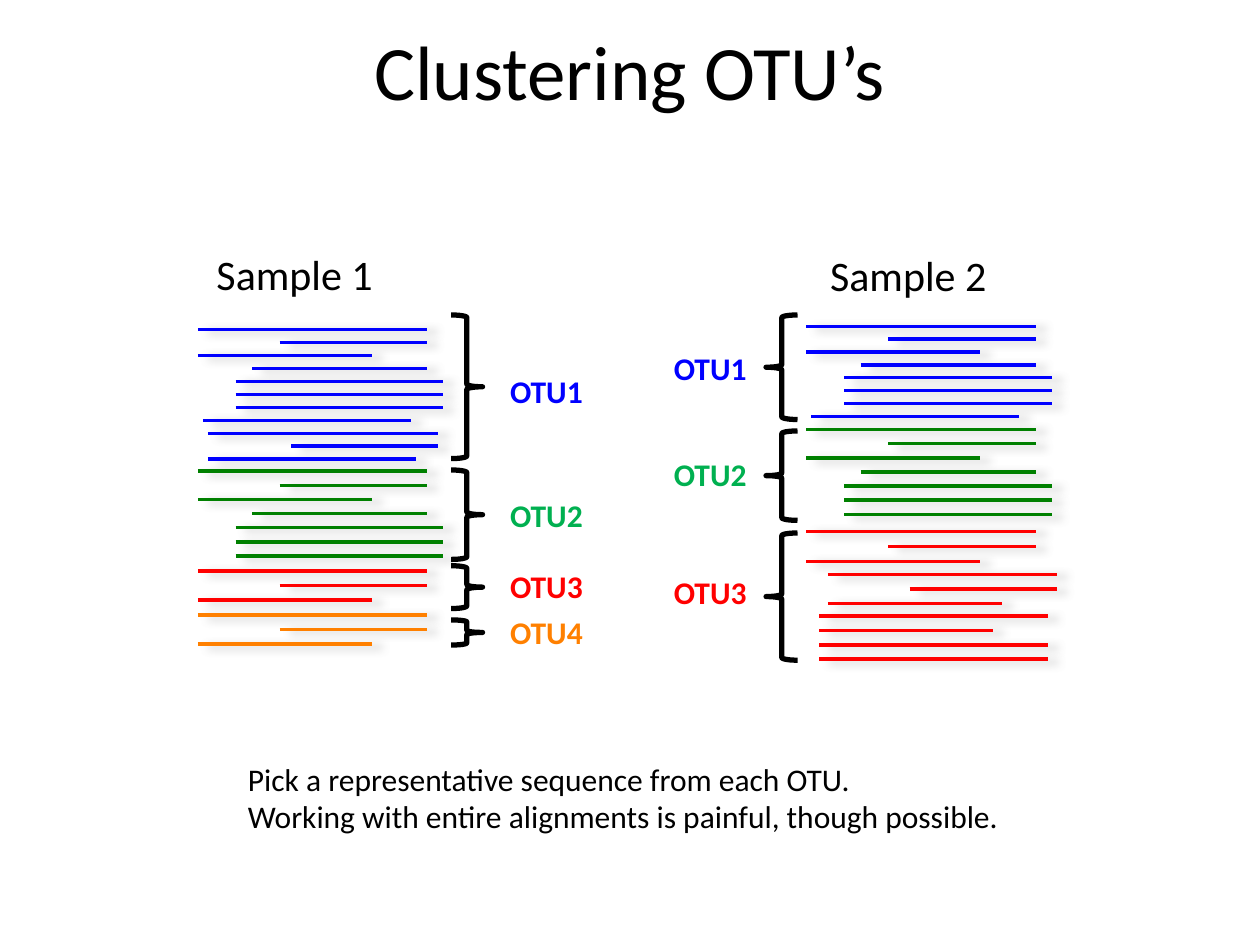
from dataclasses import dataclass

import lxml.etree
import pptx
import pptx.dml.color
import pptx.enum.shapes
import pptx.enum.text
import pptx.oxml.ns
import pptx.util

COLUMNS, ROWS = 100, 75


@dataclass(frozen=True)
class Theme:
    font: str = "Calibri"
    ink: str = "000000"
    blue: str = "0000FF"
    green: str = "008000"
    label_green: str = "00B050"
    red: str = "FF0000"
    orange: str = "FF8000"
    shadow: str = "808080"
    title_size: int = 44
    heading_size: int = 24
    body_size: int = 18
    read_width: int = 2
    brace_width: int = 3


class Sheet:
    """Places elements on one slide, in cells of a COLUMNS by ROWS grid."""

    def __init__(self, deck, theme):
        self.theme = theme
        self.slide = deck.slides.add_slide(deck.slide_layouts[6])
        self.column = deck.slide_width / COLUMNS
        self.row = deck.slide_height / ROWS

    def across(self, columns):
        return pptx.util.Emu(round(columns * self.column))

    def down(self, rows):
        return pptx.util.Emu(round(rows * self.row))

    def area(self, left, top, width, height):
        return self.across(left), self.down(top), self.across(width), self.down(height)

    def text(self, area, lines, size, color=None, bold=False, **frame_format):
        frame = self.slide.shapes.add_textbox(*self.area(*area)).text_frame
        frame_values = {
            "word_wrap": False,
            "auto_size": pptx.enum.text.MSO_AUTO_SIZE.SHAPE_TO_FIT_TEXT,
            **frame_format,
        }
        for name, value in frame_values.items():
            setattr(frame, name, value)
        font_values = {"name": self.theme.font, "size": pptx.util.Pt(size), "bold": bold}
        for index, line in enumerate(lines):
            paragraph = frame.add_paragraph() if index else frame.paragraphs[0]
            run = paragraph.add_run()
            run.text = line
            for name, value in font_values.items():
                setattr(run.font, name, value)
            run.font.color.rgb = pptx.dml.color.RGBColor.from_string(color or self.theme.ink)
        return frame

    def title(self, area, wording):
        frame = self.text(area, [wording], self.theme.title_size, word_wrap=True,
                          auto_size=pptx.enum.text.MSO_AUTO_SIZE.NONE)
        frame.paragraphs[0].alignment = pptx.enum.text.PP_ALIGN.CENTER

    def stroke(self, line, color, width):
        line.color.rgb = pptx.dml.color.RGBColor.from_string(color)
        line.width = pptx.util.Pt(width)

    def read(self, left, top, length, color):
        """Draws one sequence read as a level line with a soft shadow."""
        line = self.slide.shapes.add_connector(
            pptx.enum.shapes.MSO_CONNECTOR.STRAIGHT,
            self.across(left), self.down(top), self.across(left + length), self.down(top))
        self.stroke(line.line, color, self.theme.read_width)
        qn = pptx.oxml.ns.qn
        effects = lxml.etree.SubElement(line._element.spPr, qn("a:effectLst"))
        shadow = lxml.etree.SubElement(
            effects, qn("a:outerShdw"), blurRad=str(pptx.util.Pt(5)),
            dist=str(pptx.util.Pt(5.9)), dir=str(16 * 60000), rotWithShape="0")
        tint = lxml.etree.SubElement(shadow, qn("a:srgbClr"), val=self.theme.shadow)
        lxml.etree.SubElement(tint, qn("a:alpha"), val="38000")

    def brace(self, area, mirrored):
        brace = self.slide.shapes.add_shape(
            pptx.enum.shapes.MSO_SHAPE.RIGHT_BRACE, *self.area(*area))
        brace.shadow.inherit = False
        brace.fill.background()
        self.stroke(brace.line, self.theme.ink, self.theme.brace_width)
        if mirrored:
            brace._element.spPr.xfrm.set("flipH", "1")


# A read is its offset from the sample's left edge and its length, in columns.
LONG, TAIL, HEAD, MIDDLE = (0, 18.2), (6.5, 11.7), (0, 13.8), (4.3, 13.9)
INNER, SHIFTED = (3, 16.5), (0.4, 16.5)
TRIO = [LONG, TAIL, HEAD]
SEVEN = TRIO + [MIDDLE] + [INNER] * 3
EIGHT = SEVEN + [SHIFTED]
ELEVEN = EIGHT + [(0.8, 18.3), (7.4, 11.7), (0.8, 16.5)]


def samples(theme):
    """Runs are (left shift, top, pitch, colour, reads); OTUs are
    (brace top, brace height, label top, label colour)."""
    return [
        {
            "heading": ("Sample 1", 16.2, 19.2),
            "left": 15.7, "brace_left": 35.8, "label_left": 39.5, "mirrored": False,
            "runs": [
                (0, 26.15, 1.03, theme.blue, ELEVEN),
                (0, 37.4, 1.12, theme.green, SEVEN),
                (0, 45.3, 1.17, theme.red, TRIO),
                (0, 48.8, 1.15, theme.orange, TRIO),
            ],
            "otus": [
                (25, 11.4, 29, theme.blue),
                (37.3, 7.1, 38.9, theme.label_green),
                (44.9, 3.4, 44.5, theme.red),
                (49.2, 2, 48.2, theme.orange),
            ],
        },
        {
            "heading": ("Sample 2", 64.9, 19.3),
            "left": 64, "brace_left": 60.8, "label_left": 52.5, "mirrored": True,
            "runs": [
                (0, 25.9, 1.02, theme.blue, EIGHT),
                (0, 34.1, 1.12, theme.green, SEVEN),
                (0, 42.2, 1.18, theme.red, TRIO),
                (1.7, 45.6, 1.15, theme.red, TRIO),
                (1, 48.9, 1.14, theme.red, [LONG, HEAD, LONG, LONG]),
            ],
            "otus": [
                (25, 8.3, 27.2, theme.blue),
                (34.2, 7.1, 35.6, theme.label_green),
                (42.3, 10.1, 45, theme.red),
            ],
        },
    ]


def draw_sample(sheet, sample):
    theme = sheet.theme
    for shift, top, pitch, color, reads in sample["runs"]:
        for index, (offset, length) in enumerate(reads):
            sheet.read(sample["left"] + shift + offset, top + index * pitch, length, color)
    for number, (top, height, label_top, color) in enumerate(sample["otus"], 1):
        sheet.brace((sample["brace_left"], top, 2.5, height), sample["mirrored"])
        sheet.text((sample["label_left"], label_top, 9.6, 4), [f"OTU{number}"],
                   theme.body_size, color, bold=True)
    heading, left, top = sample["heading"]
    sheet.text((left, top, 17.7, 5), [heading], theme.heading_size)


def main():
    deck = pptx.Presentation()
    deck.slide_width, deck.slide_height = pptx.util.Inches(10), pptx.util.Inches(7.5)
    theme = Theme()
    sheet = Sheet(deck, theme)
    for sample in samples(theme):
        draw_sample(sheet, sample)
    sheet.title((5, 1.4, 90, 15.7), "Clustering OTU’s")
    sheet.text((18.7, 59.8, 62.4, 7.1),
               ["Pick a representative sequence from each OTU.",
                "Working with entire alignments is painful, though possible."],
               theme.body_size)
    deck.save("out.pptx")


if __name__ == "__main__":
    main()
